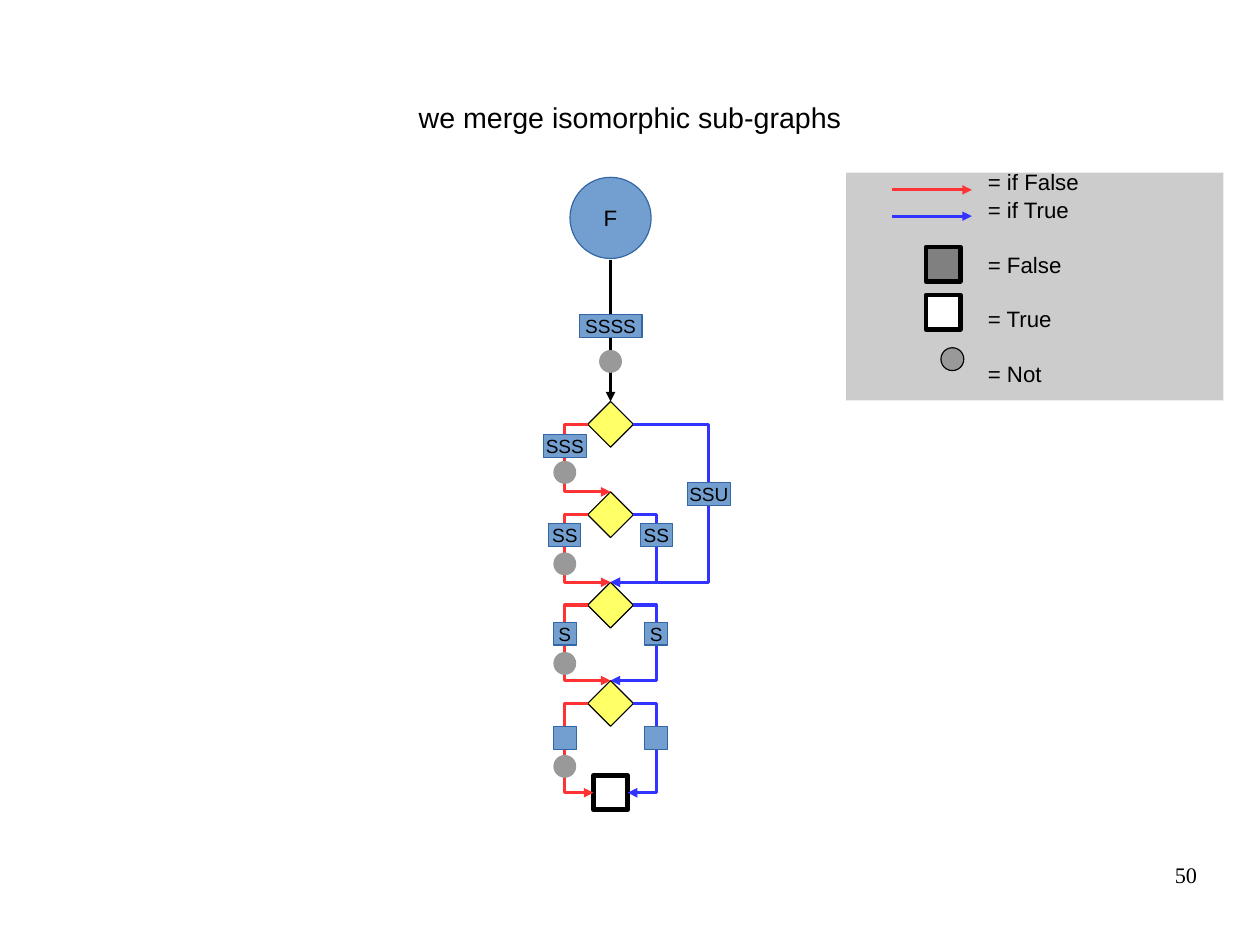
from lxml import etree
from pptx import Presentation
from pptx.dml.color import RGBColor
from pptx.enum.shapes import MSO_CONNECTOR, MSO_SHAPE
from pptx.enum.text import MSO_ANCHOR, PP_ALIGN
from pptx.oxml.ns import qn
from pptx.util import Inches, Pt

BLACK = RGBColor(0x00, 0x00, 0x00)
WHITE = RGBColor(0xFF, 0xFF, 0xFF)
BLUE = RGBColor(0x72, 0x9F, 0xCF)
BLUE_EDGE = RGBColor(0x34, 0x65, 0xA4)
YELLOW = RGBColor(0xFF, 0xFF, 0x66)
GREY = RGBColor(0x99, 0x99, 0x99)
DARK_GREY = RGBColor(0x80, 0x80, 0x80)
PANEL = RGBColor(0xCC, 0xCC, 0xCC)
IF_FALSE = RGBColor(0xFF, 0x33, 0x33)
IF_TRUE = RGBColor(0x33, 0x33, 0xFF)

# Content
TITLE = "we merge isomorphic sub-graphs"
PAGE_NUMBER = "50"
LEGEND = [("= if False", 0), ("= if True", 1), ("= False", 17.5),
          ("= True", 17.5), ("= Not", 17.5)]  # text, space before

AXIS, LEFT, RIGHT, FAR_RIGHT = 5.34, 4.94, 5.74, 6.2
NODE, SMALL, TERMINAL = 0.4, 0.2, 0.3
NODE_TOPS = [3.51, 4.3, 5.09, 5.95]
TERMINAL_TOP = 6.78
LABEL_WIDTHS = [0.2, 0.2, 0.28, 0.38, 0.55]  # by number of letters
LABELS = [  # text, centre, top
    ("SSSS", AXIS, 2.75), ("SSS", LEFT, 3.8), ("SSU", FAR_RIGHT, 4.22),
    ("SS", LEFT, 4.58), ("SS", RIGHT, 4.58), ("S", LEFT, 5.44),
    ("S", RIGHT, 5.44), ("", LEFT, 6.35), ("", RIGHT, 6.35),
]
NOT_DOTS = [(AXIS, 3.06), (LEFT, 4.03), (LEFT, 4.83), (LEFT, 5.7), (LEFT, 6.6)]
BRANCHES = [  # from node, to node (4 is the terminal), lane, colour
    (0, 2, FAR_RIGHT, IF_TRUE), (1, 2, RIGHT, IF_TRUE),
    (2, 3, RIGHT, IF_TRUE), (3, 4, RIGHT, IF_TRUE),
    (0, 1, LEFT, IF_FALSE), (1, 2, LEFT, IF_FALSE),
    (2, 3, LEFT, IF_FALSE), (3, 4, LEFT, IF_FALSE),
]

deck = Presentation()
deck.slide_width, deck.slide_height = Inches(11.02), Inches(8.27)
page = deck.slides.add_slide(deck.slide_layouts[5])


def apply(target, formats):
    for name, value in formats.items():
        setattr(target, name, value)


def clear_frame(frame, anchor, wrap):
    apply(frame, dict(margin_left=0, margin_right=0, margin_top=0,
                      margin_bottom=0, vertical_anchor=anchor, word_wrap=wrap))


def write(para, text, size, align, font="Arial"):
    para.alignment = align
    span = para.add_run()
    span.text = text
    apply(span.font, dict(size=Pt(size), name=font))
    span.font.color.rgb = BLACK


def add_box(kind, centre, top, width, height, fill, edge=None, weight=0,
            text="", size=12):
    box = page.shapes.add_shape(kind, Inches(centre - width / 2), Inches(top),
                                Inches(width), Inches(height))
    box.shadow.inherit = False
    box.fill.solid()
    box.fill.fore_color.rgb = fill
    if edge is None:
        box.line.fill.background()
    else:
        box.line.color.rgb = edge
        box.line.width = Pt(weight)
    if text:
        clear_frame(box.text_frame, MSO_ANCHOR.MIDDLE, False)
        write(box.text_frame.paragraphs[0], text, size, PP_ALIGN.CENTER)
    return box


def add_text_box(left, top, width, height):
    box = page.shapes.add_textbox(Inches(left), Inches(top),
                                  Inches(width), Inches(height))
    clear_frame(box.text_frame, MSO_ANCHOR.TOP, True)
    return box.text_frame


def add_arrow(kind, start, end, colour):
    arrow = page.shapes.add_connector(kind, *[Inches(v) for v in start + end])
    arrow.line.color.rgb = colour
    arrow.line.width = Pt(0)
    etree.SubElement(arrow.line._get_or_add_ln(), qn("a:tailEnd"), type="triangle")
    etree.SubElement(arrow._element.spPr, qn("a:effectLst"))
    return arrow


# Title
title = page.shapes.title
apply(title, dict(left=Inches(0.55), top=Inches(0.33),
                  width=Inches(9.92), height=Inches(1.38)))
clear_frame(title.text_frame, MSO_ANCHOR.MIDDLE, True)
write(title.text_frame.paragraphs[0], TITLE, 18, PP_ALIGN.CENTER)

# Graph nodes
add_box(MSO_SHAPE.OVAL, AXIS, 1.55, 0.71, 0.71, BLUE, BLUE_EDGE, text="F", size=14)
nodes = [add_box(MSO_SHAPE.DIAMOND, AXIS, top, NODE, NODE, YELLOW, BLACK)
         for top in NODE_TOPS]
terminal = add_box(MSO_SHAPE.RECTANGLE, AXIS, TERMINAL_TOP, TERMINAL, TERMINAL,
                   WHITE, BLACK, 3)

# Root arrow and branches
add_arrow(MSO_CONNECTOR.STRAIGHT, (AXIS, 2.27), (AXIS, NODE_TOPS[0]), BLACK)
for source, target, lane, colour in BRANCHES:
    side, site = (-1, 1) if lane < AXIS else (1, 3)
    start = (AXIS + side * NODE / 2, NODE_TOPS[source] + NODE / 2)
    at_terminal = target == len(nodes)
    if at_terminal:
        end = (AXIS + side * TERMINAL / 2, TERMINAL_TOP + TERMINAL / 2)
    else:
        end = (AXIS, NODE_TOPS[target])
    branch = add_arrow(MSO_CONNECTOR.ELBOW, start, end, colour)
    branch.begin_connect(nodes[source], site)
    if at_terminal:
        branch.end_connect(terminal, site)
    bend = round((lane - start[0]) / (end[0] - start[0]) * 100000)
    geometry = branch._element.spPr.find(qn("a:prstGeom"))
    etree.SubElement(geometry.find(qn("a:avLst")), qn("a:gd"),
                     name="adj1", fmla=f"val {bend}")

# Labels and negation dots on the branches
for text, centre, top in LABELS:
    add_box(MSO_SHAPE.RECTANGLE, centre, top, LABEL_WIDTHS[len(text)], SMALL,
            BLUE, BLUE_EDGE, text=text)
for centre, top in NOT_DOTS:
    add_box(MSO_SHAPE.OVAL, centre, top, SMALL, SMALL, GREY)

# Legend
add_box(MSO_SHAPE.RECTANGLE, 9.05, 1.51, 3.3, 1.99, PANEL)
for height, colour in [(1.66, IF_FALSE), (1.89, IF_TRUE)]:
    add_arrow(MSO_CONNECTOR.STRAIGHT, (7.8, height), (8.5, height), colour)
for top, fill in [(2.16, DARK_GREY), (2.58, WHITE)]:
    add_box(MSO_SHAPE.RECTANGLE, 8.25, top, TERMINAL, TERMINAL, fill, BLACK, 3)
add_box(MSO_SHAPE.OVAL, 8.33, 3.04, SMALL, SMALL, GREY, BLACK)
legend = add_text_box(8.64, 1.47, 1.5, 1.9)
for index, (text, gap) in enumerate(LEGEND):
    para = legend.add_paragraph() if index else legend.paragraphs[0]
    write(para, text, 14, PP_ALIGN.LEFT)
    if gap:
        para.space_before = Pt(gap)

# Page number
number = add_text_box(7.9, 7.53, 2.57, 0.57)
write(number.paragraphs[0], PAGE_NUMBER, 14, PP_ALIGN.RIGHT, "Times New Roman")

deck.save("out.pptx")
